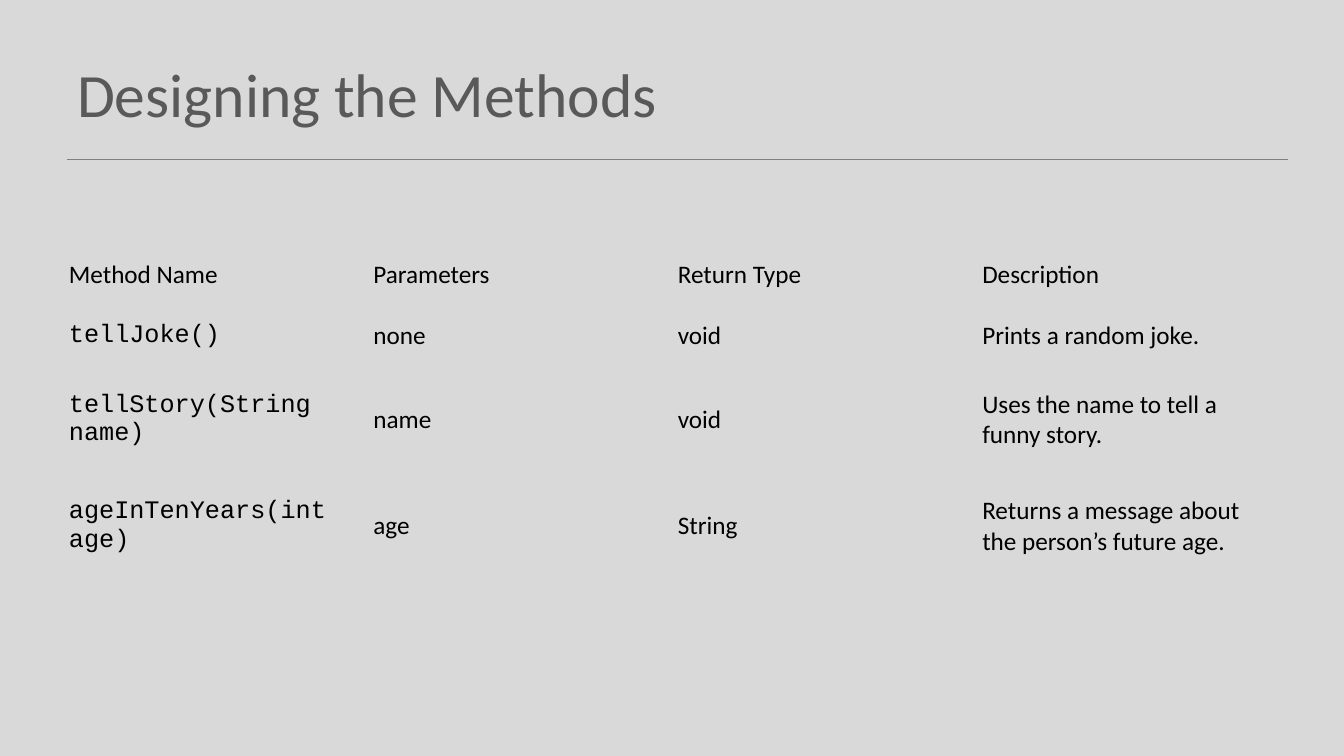
import pptx
import pptx.dml.color
import pptx.enum.shapes
import pptx.enum.text
import pptx.oxml.ns
import pptx.util
import lxml.etree

Pt = pptx.util.Pt
METHODS = [
    ("Method Name", "Parameters", "Return Type", "Description"),
    ("tellJoke()", "none", "void", "Prints a random joke."),
    ("tellStory(String name)", "name", "void", "Uses the name to tell a funny story."),
    ("ageInTenYears(int age)", "age", "String", "Returns a message about the person’s future age."),
]
ROW_HEIGHTS = (44, 44, 76, 76)


def color(value):
    """Turn a hex string into a color."""
    return pptx.dml.color.RGBColor.from_string(value)


def write_text(frame, text, font, size, ink):
    """Put one styled paragraph into a text frame."""
    frame.text = text
    span = frame.paragraphs[0].runs[0]
    span.font.name = font
    span.font.size = Pt(size)
    span.font.color.rgb = color(ink)


def add_title(slide, text, left, top, width, height):
    """Add the heading and the rule below it."""
    box = slide.shapes.add_textbox(Pt(left), Pt(top), Pt(width), Pt(height))
    box.text_frame.word_wrap = True
    box.text_frame.vertical_anchor = pptx.enum.text.MSO_ANCHOR.MIDDLE
    write_text(box.text_frame, text, "Calibri", 44, "595959")
    rule_top = Pt(top + height + 2.4)
    rule = slide.shapes.add_connector(
        pptx.enum.shapes.MSO_CONNECTOR.STRAIGHT,
        Pt(left), rule_top, Pt(left + width + 8), rule_top)
    rule.line.color.rgb = color("808080")
    rule.line.width = Pt(1)
    lxml.etree.SubElement(rule.element.spPr, pptx.oxml.ns.qn("a:effectLst"))


def clear_cell(cell):
    """Remove the borders and fill of a table cell."""
    properties = cell._tc.get_or_add_tcPr()
    for side in ("lnL", "lnR", "lnT", "lnB"):
        border = lxml.etree.SubElement(properties, pptx.oxml.ns.qn("a:" + side))
        lxml.etree.SubElement(border, pptx.oxml.ns.qn("a:noFill"))
    cell.fill.background()


def add_method_table(slide, left, top, width):
    """Add the table of methods with equal columns."""
    frame = slide.shapes.add_table(
        len(METHODS), len(METHODS[0]), Pt(left), Pt(top), Pt(width), Pt(sum(ROW_HEIGHTS)))
    table = frame.table
    table.first_row = False
    table.horz_banding = False
    for column in table.columns:
        column.width = Pt(width / len(METHODS[0]))
    for row_index, texts in enumerate(METHODS):
        table.rows[row_index].height = Pt(ROW_HEIGHTS[row_index])
        for column_index, text in enumerate(texts):
            cell = table.cell(row_index, column_index)
            clear_cell(cell)
            cell.vertical_anchor = pptx.enum.text.MSO_ANCHOR.MIDDLE
            is_code = row_index > 0 and column_index == 0
            write_text(cell.text_frame, text, "Courier New" if is_code else "Calibri", 18, "000000")


def main():
    """Build and save the deck."""
    deck = pptx.Presentation()
    deck.slide_width = Pt(960)
    deck.slide_height = Pt(540)
    page = deck.slides.add_slide(deck.slide_layouts[6])
    page.background.fill.solid()
    page.background.fill.fore_color.rgb = color("D9D9D9")
    add_title(page, "Designing the Methods", 48, 21.6, 864, 90)
    add_method_table(page, 42, 174, 870)
    deck.save("out.pptx")


if __name__ == "__main__":
    main()
